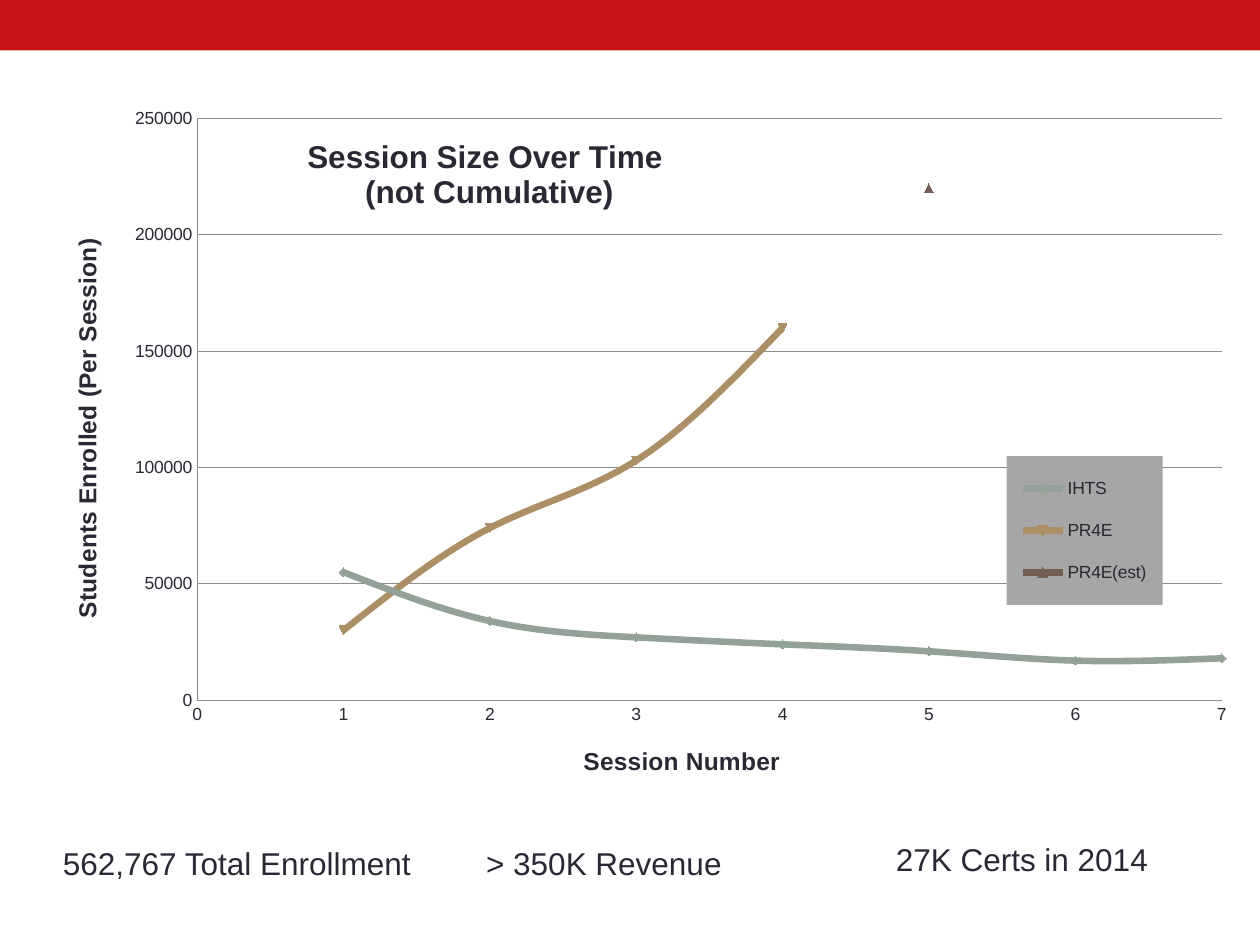
from lxml.etree import SubElement
from pptx import Presentation
from pptx.chart.data import XyChartData
from pptx.dml.color import RGBColor
from pptx.enum.chart import XL_CHART_TYPE as ChartType, XL_LEGEND_POSITION as LegendPos
from pptx.enum.chart import XL_TICK_MARK as TickMark
from pptx.enum.shapes import MSO_SHAPE as Shape
from pptx.oxml import parse_xml
from pptx.oxml.ns import nsdecls, qn
from pptx.util import Cm, Pt

COLORS = {"band": "C91417", "text": "292934", "grid": "8C8C8C", "legend": "A6A6A6",
          "IHTS": "93A299", "PR4E": "AD8F67", "PR4E(est)": "726056"}
SESSIONS = {
    "IHTS": [55000, 34000, 27000, 24000, 21000, 17000, 18000],
    "PR4E": [30000, 74000, 103000, 160000, None, None, None],
    "PR4E(est)": [None, None, None, None, 220000, None, None],
}
FACTS = [("562,767 Total Enrollment", 1.02, 16.89, 7.59),
         ("> 350K Revenue", 9.55, 16.89, 5.31),
         ("27K Certs in 2014", 17.81, 16.81, 5.64)]


def rgb(name):
    """Return a named colour."""
    return RGBColor.from_string(COLORS[name])


def style_font(font, size, bold=False):
    """Apply the slide's text format to a font."""
    for key, value in {"name": "Arial", "size": Pt(size), "bold": bold}.items():
        setattr(font, key, value)
    font.color.rgb = rgb("text")


def style_line(line, color, width):
    """Set the colour and width of a line."""
    line.color.rgb = rgb(color)
    line.width = Pt(width)


def place(element, **fractions):
    """Give a chart element a manual layout in fractions of the chart."""
    for old in element.findall(qn("c:layout")):
        element.remove(old)
    layout = parse_xml(f"<c:layout {nsdecls('c')}/>")
    manual = SubElement(layout, qn("c:manualLayout"))
    if element.tag == qn("c:plotArea"):
        SubElement(manual, qn("c:layoutTarget")).set("val", "inner")
    for key in ("xMode", "yMode"):
        SubElement(manual, qn(f"c:{key}")).set("val", "edge")
    for key, value in fractions.items():
        SubElement(manual, qn(f"c:{key}")).set("val", str(value))
    has_lead = element[0].tag in (qn("c:tx"), qn("c:legendPos"))
    element.insert(1 if has_lead else 0, layout)


def set_title(title, text, size, x, y):
    """Write, format and place a chart or axis title."""
    tf = title.text_frame
    tf.text = text
    for p in tf.paragraphs:
        style_font(p.runs[0].font, size, True)
    place(title._element, x=x, y=y)


def style_axis(axis, title, x, y, maximum, step):
    """Format one value axis with its title and scale."""
    values = {"minimum_scale": 0, "maximum_scale": maximum, "major_unit": step,
              "major_tick_mark": TickMark.NONE, "minor_tick_mark": TickMark.NONE}
    for key, value in values.items():
        setattr(axis, key, value)
    style_line(axis.format.line, "grid", 0.5)
    set_title(axis.axis_title, title, 14, x, y)


def style_legend(chart):
    """Add the filled legend box over the plot."""
    chart.has_legend = True
    legend = chart.legend
    legend.position = LegendPos.RIGHT
    legend.include_in_layout = False
    style_font(legend.font, 10)
    place(legend._element, x=0.804, y=0.519, w=0.129, h=0.207)
    fill = parse_xml(f'<c:spPr {nsdecls("c", "a")}><a:solidFill>'
                     f'<a:srgbClr val="{COLORS["legend"]}"/></a:solidFill></c:spPr>')
    legend._element.find(qn("c:overlay")).addnext(fill)


def style_series(series):
    """Smooth and colour one series and leave its missing sessions empty."""
    element = series._element
    for pt in list(element.iter(qn("c:pt"))):
        if pt.findtext(qn("c:v")) in ("None", ""):
            pt.getparent().remove(pt)
    smooth = element.find(qn("c:smooth"))
    if smooth is None:
        smooth = SubElement(element, qn("c:smooth"))
    smooth.set("val", "1")
    style_line(series.format.line, series.name, 3.75)
    marker = series.marker
    marker.size = 5
    marker.format.fill.solid()
    marker.format.fill.fore_color.rgb = rgb(series.name)
    marker.format.line.fill.background()


def add_session_chart(s):
    """Add the smooth scatter chart of session sizes."""
    data = XyChartData(number_format="General")
    for name, sizes in SESSIONS.items():
        series = data.add_series(name)
        for session, size in enumerate(sizes, 1):
            series.add_data_point(session, size)
    frame = s.shapes.add_chart(ChartType.XY_SCATTER_SMOOTH, Cm(0.71), Cm(1.68),
                               Cm(24.36), Cm(14.48), data)
    chart = frame.chart
    style_font(chart.font, 10)
    set_title(chart.chart_title, "Session Size Over Time \n(not Cumulative)", 18, 0.222, 0.069)
    chart.chart_title.include_in_layout = True
    style_axis(chart.category_axis, "Session Number", 0.45, 0.915, 7, 1)
    style_axis(chart.value_axis, "Students Enrolled (Per Session)", 0.026, 0.21, 250000, 50000)
    chart.category_axis.has_major_gridlines = False
    style_line(chart.value_axis.major_gridlines.format.line, "grid", 0.75)
    plot = chart.plots[0]
    plot.vary_by_categories = False
    for series in plot.series:
        style_series(series)
    style_legend(chart)
    place(plot._element.getparent(), x=0.134, y=0.049, w=0.848, h=0.81)


def add_band(s, width):
    """Add the red band along the top edge."""
    sp = s.shapes.add_shape(Shape.RECTANGLE, 0, 0, width, Cm(1.02))
    sp.shadow.inherit = False
    sp.fill.solid()
    sp.fill.fore_color.rgb = rgb("band")
    sp.line.fill.background()


def add_fact(s, text, left, top, width):
    """Add one key figure below the chart."""
    tf = s.shapes.add_textbox(Cm(left), Cm(top), Cm(width), Cm(1.02)).text_frame
    tf.word_wrap = False
    r = tf.paragraphs[0].add_run()
    r.text = text
    style_font(r.font, 18)


def main():
    """Build and save the slide."""
    prs = Presentation()
    prs.slide_width, prs.slide_height = Cm(25.4), Cm(19.05)
    s = prs.slides.add_slide(prs.slide_layouts[6])
    add_band(s, prs.slide_width)
    add_session_chart(s)
    for fact in FACTS:
        add_fact(s, *fact)
    prs.save("out.pptx")


if __name__ == "__main__":
    main()
